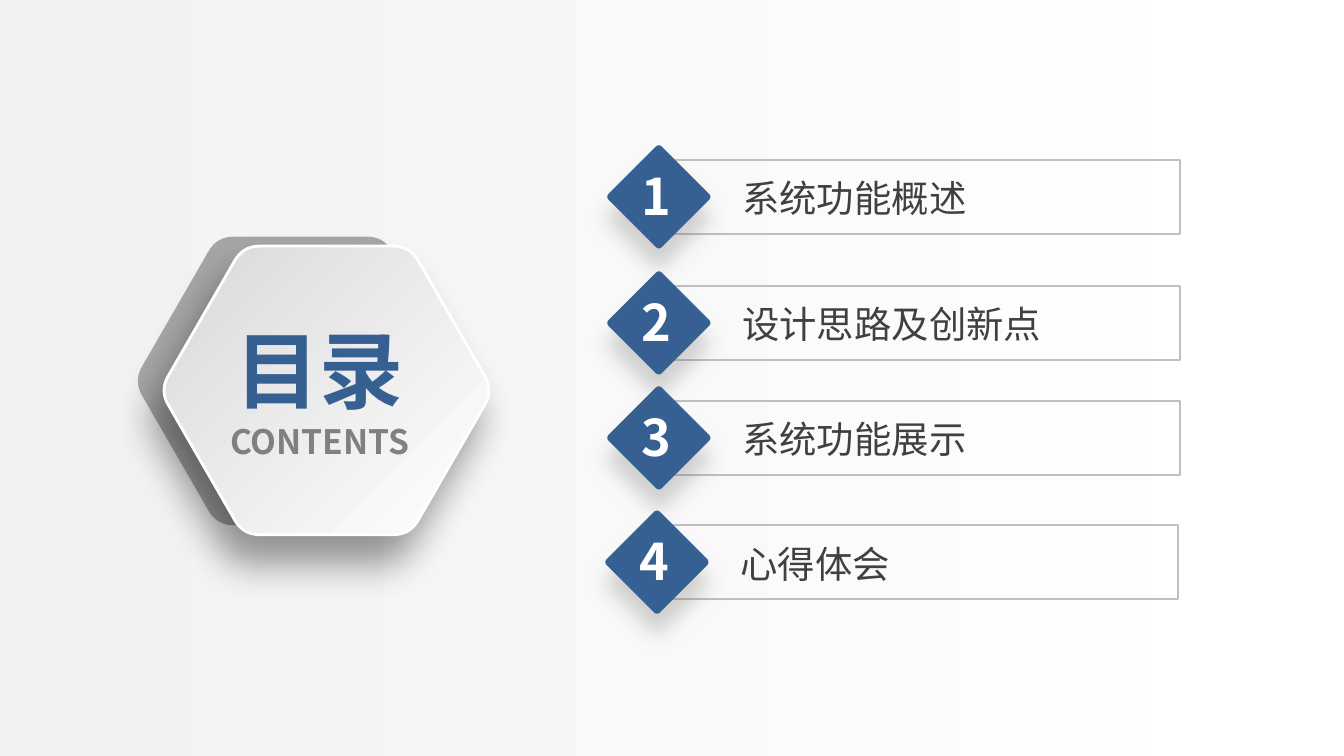
import math

import pptx
import pptx.dml.color
import pptx.enum.shapes
import pptx.enum.text
import pptx.oxml
import pptx.oxml.ns
import pptx.util

COLUMNS, ROWS = 100, 56.25
CELL = pptx.util.Inches(0.1)
FONT = "Noto Sans CJK SC"
BLUE, WHITE = "376092", "FFFFFF"
ITEMS = [
    ("系统功能概述", 48.92, 11.9),
    ("设计思路及创新点", 48.92, 21.28),
    ("系统功能展示", 48.92, 29.83),
    ("心得体会", 48.78, 39.08),
]


def color(value):
    return pptx.dml.color.RGBColor.from_string(value)


def grid(*cells):
    return [round(cell * CELL) for cell in cells]


def fill_gradient(fill, colors, angle):
    fill.gradient()
    fill.gradient_angle = angle
    for stop, value, position in zip(fill.gradient_stops, colors, (0, 1)):
        stop.color.rgb = color(value)
        stop.position = position


def set_fill(shape, value):
    shape.fill.solid()
    shape.fill.fore_color.rgb = color(value)


def set_line(shape, value, width):
    shape.line.color.rgb = color(value)
    shape.line.width = pptx.util.Pt(width)


def add_shadow(shape, value, opacity, blur, distance, angle):
    properties = shape.element.spPr
    for effects in properties.findall(pptx.oxml.ns.qn("a:effectLst")):
        properties.remove(effects)
    properties.append(pptx.oxml.parse_xml(
        f'<a:effectLst {pptx.oxml.ns.nsdecls("a")}>'
        f'<a:outerShdw blurRad="{pptx.util.Pt(blur)}" dist="{pptx.util.Pt(distance)}" '
        f'dir="{angle * 60000}" algn="ctr" rotWithShape="0">'
        f'<a:srgbClr val="{value}"><a:alpha val="{opacity * 1000}"/></a:srgbClr>'
        '</a:outerShdw></a:effectLst>'))


def set_text(shape, text, size, value, bold=False, centered=False, wrap=True,
             middle=False, margins=(0.07, 0.04)):
    frame = shape.text_frame
    frame.text = text
    frame.word_wrap = wrap
    frame.auto_size = pptx.enum.text.MSO_AUTO_SIZE.NONE
    anchors = pptx.enum.text.MSO_ANCHOR
    frame.vertical_anchor = anchors.MIDDLE if middle else anchors.TOP
    frame.margin_left = frame.margin_right = pptx.util.Inches(margins[0])
    frame.margin_top = frame.margin_bottom = pptx.util.Inches(margins[1])
    paragraph = frame.paragraphs[0]
    alignments = pptx.enum.text.PP_ALIGN
    paragraph.alignment = alignments.CENTER if centered else alignments.LEFT
    font = paragraph.runs[0].font
    font.name = FONT
    font.size = pptx.util.Pt(size)
    font.bold = bold
    font.color.rgb = color(value)
    font._element.append(pptx.oxml.parse_xml(
        f'<a:ea {pptx.oxml.ns.nsdecls("a")} typeface="{FONT}"/>'))


def rounded_hexagon_points(center_x, center_y, radius, cut, steps=10):
    vertices = [(center_x + radius * math.cos(math.radians(angle)),
                 center_y + radius * math.sin(math.radians(angle)))
                for angle in range(0, 360, 60)]
    share = cut / radius
    points = []
    for index, corner in enumerate(vertices):
        before, after = vertices[index - 1], vertices[(index + 1) % 6]
        start, end = ([c + (n - c) * share for c, n in zip(corner, neighbor)]
                      for neighbor in (before, after))
        for step in range(steps + 1):
            t = step / steps
            points.append(tuple((1 - t) ** 2 * s + 2 * t * (1 - t) * c + t ** 2 * e
                                for s, c, e in zip(start, corner, end)))
    return points


def add_hexagon(slide, center_x, center_y):
    points = [grid(*point) for point in rounded_hexagon_points(center_x, center_y, 12.4, 1.25)]
    builder = slide.shapes.build_freeform(*points[0])
    builder.add_line_segments(points[1:], close=True)
    hexagon = builder.convert_to_shape()
    hexagon.shadow.inherit = False
    return hexagon


def add_heading(slide):
    back = add_hexagon(slide, 22.35, 28.35)
    set_fill(back, "A6A6A6")
    back.line.fill.background()
    front = add_hexagon(slide, 24.3, 29.05)
    fill_gradient(front.fill, ("D9D9D9", WHITE), 315)
    set_line(front, WHITE, 1.5)
    add_shadow(front, "000000", 40, 21, 16, 113)

    title = slide.shapes.title
    title.left, title.top, title.width, title.height = grid(14.85, 23.2, 17.9, 8.6)
    set_text(title, "目录", 45, BLUE, bold=True, centered=True, margins=(0.1, 0.05))
    front.element.addnext(title.element)
    subtitle = slide.shapes.add_textbox(*grid(14.8, 30.75, 18, 4.2))
    set_text(subtitle, "CONTENTS", 18, "808080", bold=True, centered=True, middle=True)


def add_item(slide, number, text, left, top):
    presets = pptx.enum.shapes.MSO_SHAPE
    shapes = slide.shapes.add_group_shape().shapes

    frame = shapes.add_shape(presets.RECTANGLE, *grid(left, top, 38.9, 5.5))
    frame.shadow.inherit = False
    frame.fill.background()
    set_line(frame, "BFBFBF", 1)

    label = shapes.add_textbox(*grid(left + 5.6, top + 0.75, 27.2, 4.1))
    set_text(label, text, 20, "404040")

    diamond = shapes.add_shape(presets.ROUNDED_RECTANGLE, *grid(left - 2.7, top - 0.05, 5.6, 5.6))
    diamond.adjustments[0] = 0.05
    diamond.rotation = 45
    set_fill(diamond, BLUE)
    diamond.line.fill.background()
    add_shadow(diamond, "595959", 25, 11, 11, 90)

    digit = shapes.add_textbox(*grid(left - 1.9, top, 3.6, 5.3))
    set_text(digit, str(number), 27, WHITE, bold=True, wrap=False)


def main():
    presentation = pptx.Presentation()
    presentation.slide_width, presentation.slide_height = grid(COLUMNS, ROWS)
    slide = presentation.slides.add_slide(presentation.slide_layouts[5])
    fill_gradient(slide.background.fill, ("F2F2F2", WHITE), 0)
    add_heading(slide)
    for number, item in enumerate(ITEMS, start=1):
        add_item(slide, number, *item)
    presentation.save("out.pptx")


if __name__ == "__main__":
    main()
